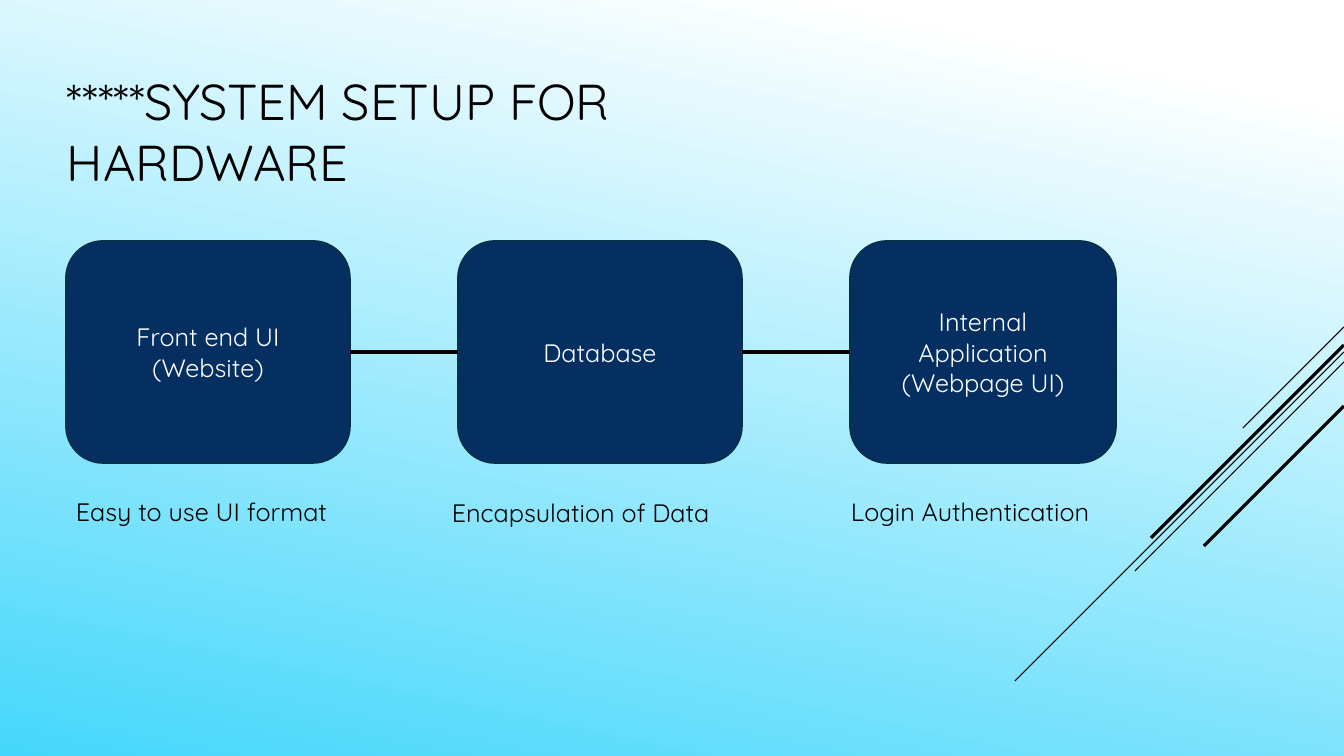
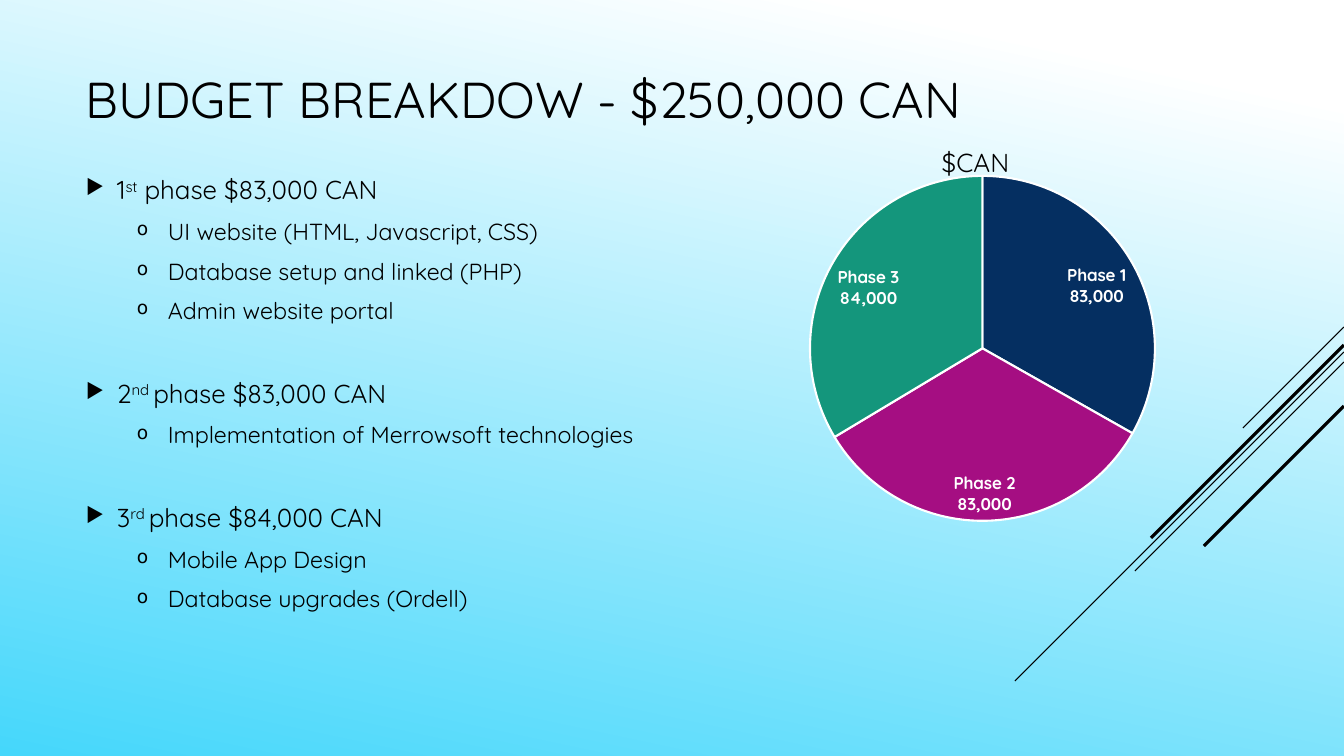
"""Build the hardware setup and budget breakdown slides."""
from lxml.etree import SubElement
from pptx import Presentation
from pptx.chart.data import CategoryChartData as ChartData
from pptx.dml.color import RGBColor
from pptx.enum.chart import XL_CHART_TYPE as ChartType, XL_LABEL_POSITION as LabelPosition
from pptx.enum.shapes import MSO_CONNECTOR as Connector, MSO_SHAPE as Shape
from pptx.enum.text import MSO_ANCHOR as Anchor, PP_ALIGN as Align
from pptx.oxml.ns import qn
from pptx.util import Emu, Pt

SLIDE_W, SLIDE_H = 1344, 756
SCALE = 12192000 / SLIDE_W

BLACK = RGBColor(0x00, 0x00, 0x00)
WHITE = RGBColor(0xFF, 0xFF, 0xFF)
SKY = RGBColor(0x45, 0xD7, 0xFB)
NAVY = RGBColor(0x05, 0x2F, 0x61)
NAVY_EDGE = RGBColor(0x04, 0x31, 0x48)
MAGENTA = RGBColor(0xA5, 0x0E, 0x82)
TEAL = RGBColor(0x14, 0x96, 0x7C)

FONT = "Quicksand"
TITLE = {"name": FONT, "size": Pt(36), "color": BLACK}
CAPTION = {"name": FONT, "size": Pt(18), "color": BLACK}
BOX_LABEL = {"name": FONT, "size": Pt(18), "color": WHITE}
PHASE = {"name": FONT, "size": Pt(18.5), "color": BLACK}
TASK = {"name": FONT, "size": Pt(16.6), "color": BLACK}
CHART_TITLE = {"name": FONT, "size": Pt(18.6), "bold": False, "color": BLACK}
SLICE_LABEL = {"name": FONT, "size": Pt(12.2), "bold": True, "color": WHITE}

COMPONENTS = [
    (284, ["Front end UI", "(Website)"], "Easy to use UI format", (0, 0)),
    (284, ["Database"], "Encapsulation of Data", (-16, 1)),
    (266, ["Internal Application", "(Webpage UI)"], "Login Authentication", (-9, 0)),
]
PHASES = [
    ("1", "st", " phase $83,000 CAN", [
        "UI website (HTML, Javascript, CSS)",
        "Database setup and linked (PHP)",
        "Admin website portal"]),
    ("2", "nd ", "phase $83,000 CAN", ["Implementation of Merrowsoft technologies"]),
    ("3", "rd ", "phase $84,000 CAN", ["Mobile App Design", "Database upgrades (Ordell)"]),
]
SHARES = [("Phase 1", 83000, NAVY), ("Phase 2", 83000, MAGENTA), ("Phase 3", 84000, TEAL)]
DIAGONALS = [(0, 101, 0.75), (25, 329, 0.75), (35, 209, 0.75), (18, 193, 2.25), (79, 140, 2.25)]


def px(*lengths):
    """Turn px lengths into EMU."""
    return [Emu(round(length * SCALE)) for length in lengths]


def apply(target, values):
    """Set each format value on the target, colours on its colour part."""
    for name, value in values.items():
        if name == "color":
            target.color.rgb = value
        else:
            setattr(target, name, value)


def add_run(paragraph, text, style, baseline=None):
    """Append a styled run, raised when a baseline is given."""
    run = paragraph.add_run()
    run.text = text
    apply(run.font, style)
    if baseline:
        run.font._element.set("baseline", str(baseline))


def add_text(slide, box, text, style, anchor=Anchor.TOP):
    """Place a wrapped text box holding one styled paragraph."""
    frame = slide.shapes.add_textbox(*px(*box)).text_frame
    apply(frame, {"word_wrap": True, "vertical_anchor": anchor})
    add_run(frame.paragraphs[0], text, style)


def add_line(slide, start, end, width):
    """Draw a straight black line without a shadow."""
    line = slide.shapes.add_connector(Connector.STRAIGHT, *px(*start, *end))
    apply(line.line, {"color": BLACK, "width": Pt(width)})
    SubElement(line._element.spPr, qn("a:effectLst"))


def diagonal_lines(slide, box):
    """Draw the 45 degree lines that run from the right edge of the box."""
    left, top, width, height = box
    right = left + width
    for drop, reach, weight in DIAGONALS:
        add_line(slide, (right, top + drop), (right - reach, top + drop + reach), weight)


def base_slide(deck, title, title_box):
    """Add a slide with the shared gradient, diagonal lines and title."""
    slide = deck.slides.add_slide(deck.slide_layouts[6])
    fill = slide.background.fill
    fill.gradient()
    fill.gradient_angle = 258
    for stop, position, colour in zip(fill.gradient_stops, (0.1, 1), (WHITE, SKY)):
        apply(stop, {"position": position, "color": colour})
    diagonal_lines(slide, (1015, 327, 329, 354))
    add_text(slide, title_box, title, TITLE, Anchor.MIDDLE)
    return slide


def component(slide, box, lines):
    """Draw one system component as a labelled rounded box."""
    shape = slide.shapes.add_shape(Shape.ROUNDED_RECTANGLE, *px(*box))
    shape.shadow.inherit = False
    shape.fill.solid()
    shape.fill.fore_color.rgb = NAVY
    apply(shape.line, {"color": NAVY_EDGE, "width": Pt(1.25)})
    frame = shape.text_frame
    apply(frame, {"word_wrap": True, "vertical_anchor": Anchor.MIDDLE})
    for index, line in enumerate(lines):
        paragraph = frame.add_paragraph() if index else frame.paragraphs[0]
        paragraph.alignment = Align.CENTER
        add_run(paragraph, line, BOX_LABEL)


def component_row(slide, box):
    """Lay out the linked components with their captions below."""
    left, top, width, height = box
    gap = (width - sum(item[0] for item in COMPONENTS)) // (len(COMPONENTS) - 1)
    middle = top + height // 2
    for index, (box_width, lines, caption, (dx, dy)) in enumerate(COMPONENTS):
        component(slide, (left, top, box_width, height), lines)
        add_text(slide, (left + dx, top + height + 28 + dy, 312, 40), caption, CAPTION)
        if index:
            add_line(slide, (left - gap, middle), (left, middle), 2.25)
        left += box_width + gap


def set_bullet(paragraph, mark, indent, before):
    """Give the paragraph a hanging bullet and its spacing."""
    apply(paragraph, {"space_before": Pt(before), "space_after": Pt(6)})
    properties = paragraph._p.get_or_add_pPr()
    hang, = px(31)
    properties.set("marL", str(px(indent)[0]))
    properties.set("indent", str(-hang))
    SubElement(properties, qn("a:buSzPct"), val="80000")
    SubElement(properties, qn("a:buChar"), char=mark)


def phase_list(slide, box):
    """Write the phases and their tasks as a two level list."""
    frame = slide.shapes.add_textbox(*px(*box)).text_frame
    frame.word_wrap = True
    for index, (number, suffix, cost, tasks) in enumerate(PHASES):
        heading = frame.add_paragraph() if index else frame.paragraphs[0]
        set_bullet(heading, "▶", 31, 32 if index else 0)
        add_run(heading, number, PHASE)
        add_run(heading, suffix, PHASE, 30000)
        add_run(heading, cost, PHASE)
        for task in tasks:
            entry = frame.add_paragraph()
            entry.level = 1
            set_bullet(entry, "o", 82, 2.5)
            add_run(entry, task, TASK)


def set_layout(part, index, **fractions):
    """Fix a chart part at fractions of the chart area."""
    layout = part.find(qn("c:layout"))
    if layout is None:
        layout = SubElement(part, qn("c:layout"))
        part.insert(index, layout)
    manual = SubElement(layout, qn("c:manualLayout"))
    if "w" in fractions:
        SubElement(manual, qn("c:layoutTarget"), val="inner")
    for axis in "xy":
        SubElement(manual, qn(f"c:{axis}Mode"), val="edge")
    for name, fraction in fractions.items():
        SubElement(manual, qn(f"c:{name}"), val=f"{fraction:.4f}")


def budget_pie(slide, box):
    """Chart the budget of each phase as a labelled pie."""
    left, top, width, height = box
    data = ChartData(number_format="#,##0")
    data.categories = [name for name, amount, colour in SHARES]
    data.add_series("$CAN", [amount for name, amount, colour in SHARES])
    chart = slide.shapes.add_chart(ChartType.PIE, *px(*box), data).chart
    apply(chart, {"has_legend": False, "has_title": True})
    apply(chart.font, {"name": FONT, "size": Pt(10)})
    add_run(chart.chart_title.text_frame.paragraphs[0], "$CAN", CHART_TITLE)
    set_layout(chart.chart_title._element, 1, x=320 / width, y=40 / height)
    set_layout(chart._chartSpace.chart.plotArea, 0,
               x=193 / width, y=78 / height, w=345 / width, h=345 / height)

    plot = chart.plots[0]
    apply(plot, {"vary_by_categories": True, "has_data_labels": True})
    for index, (name, amount, colour) in enumerate(SHARES):
        slice_format = plot.series[0].points[index].format
        slice_format.fill.solid()
        slice_format.fill.fore_color.rgb = colour
        apply(slice_format.line, {"color": WHITE, "width": Pt(1.5)})
    labels = plot.data_labels
    apply(labels, {
        "show_category_name": True, "show_value": True, "show_percentage": False,
        "number_format": "#,##0", "number_format_is_linked": False,
        "position": LabelPosition.INSIDE_END})
    for name, value in SLICE_LABEL.items():
        if name == "color":
            labels.font.color.rgb = value
        else:
            setattr(labels.font, name, value)
    separator = SubElement(labels._element, qn("c:separator"))
    separator.text = "\n"
    labels._element.find(qn("c:showBubbleSize")).addnext(separator)


def main():
    """Build both slides and save the deck."""
    deck = Presentation()
    deck.slide_width, deck.slide_height = px(SLIDE_W, SLIDE_H)
    setup = base_slide(deck, "*****SYSTEM SETUP FOR HARDWARE", (57, 48, 764, 166))
    component_row(setup, (66, 241, 1050, 222))
    budget = base_slide(deck, "BUDGET BREAKDOW - $250,000 CAN", (76, 15, 940, 166))
    phase_list(budget, (76, 169, 640, 470))
    budget_pie(budget, (617, 98, 727, 485))
    deck.save("out.pptx")


if __name__ == "__main__":
    main()
